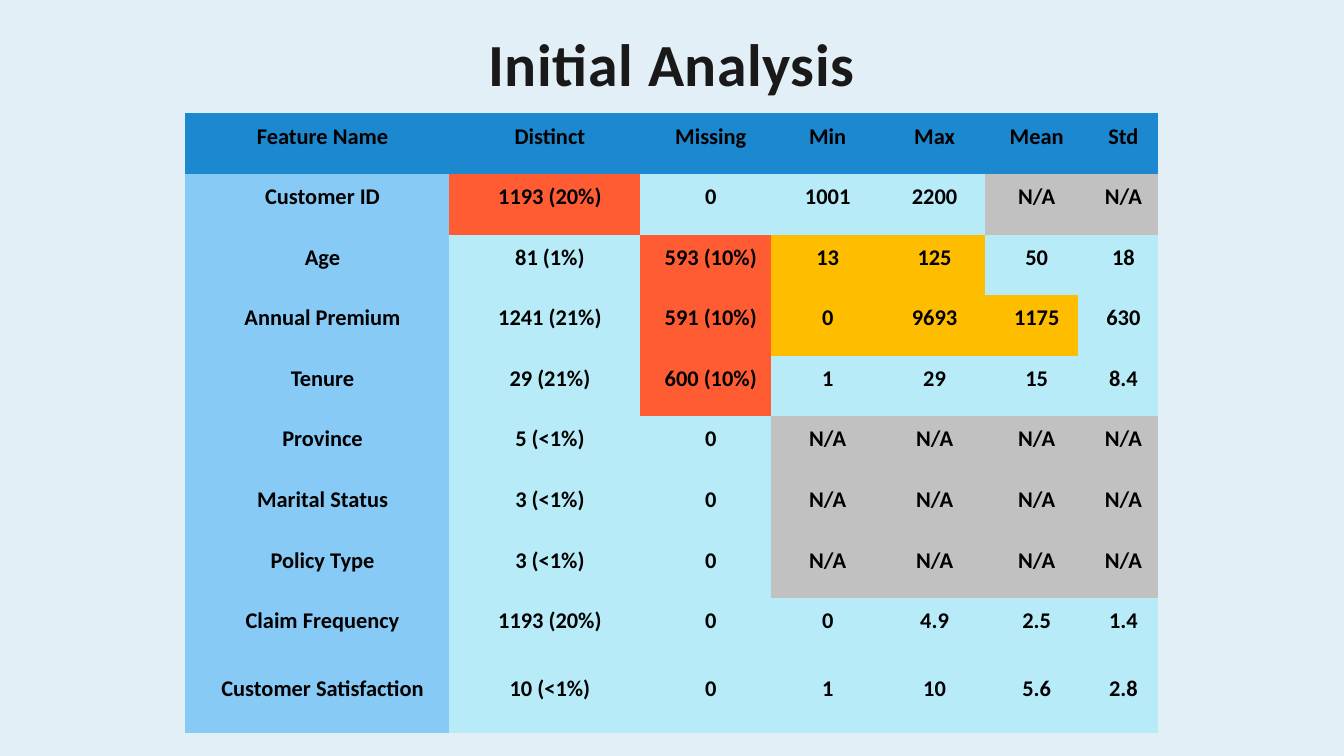
from pptx import Presentation as Deck
from pptx.dml.color import RGBColor as RGB
from pptx.enum.text import MSO_ANCHOR as Anchor, MSO_AUTO_SIZE as Fit, PP_ALIGN as Align
from pptx.oxml.ns import qn
from pptx.util import Cm, Pt

COLORS = {
    "back": "E3EFF7", "title": "191919", "text": "000000",
    "head": "1C88CF", "name": "87CAF5", "plain": "B8EBF8",
    "alert": "FF5C33", "warn": "FFBD00", "none": "C1C1C1",
}
NO_GRID = "{2D5ABB26-0587-4C30-8999-92F81FD0307C}"
WIDTHS = [9.98, 7.21, 4.95, 3.89, 4.19, 3.53, 3.02]
HEIGHTS = [2.29] * 9 + [2.82]
ROWS = [
    ["Feature Name", "Distinct", "Missing", "Min", "Max", "Mean", "Std"],
    ["Customer ID", "1193 (20%)", "0", "1001", "2200", "N/A", "N/A"],
    ["Age", "81 (1%)", "593 (10%)", "13", "125", "50", "18"],
    ["Annual Premium", "1241 (21%)", "591 (10%)", "0", "9693", "1175", "630"],
    ["Tenure", "29 (21%)", "600 (10%)", "1", "29", "15", "8.4"],
    ["Province", "5 (<1%)", "0", "N/A", "N/A", "N/A", "N/A"],
    ["Marital Status", "3 (<1%)", "0", "N/A", "N/A", "N/A", "N/A"],
    ["Policy Type", "3 (<1%)", "0", "N/A", "N/A", "N/A", "N/A"],
    ["Claim Frequency", "1193 (20%)", "0", "0", "4.9", "2.5", "1.4"],
    ["Customer Satisfaction", "10 (<1%)", "0", "1", "10", "5.6", "2.8"],
]
ALERTS = {(1, 1), (2, 2), (3, 2), (4, 2)}
WARNS = {(2, 3), (2, 4), (3, 3), (3, 4), (3, 5)}


def write(frame, text, size=24, color="text", lead=13.7, track=0):
    para = frame.paragraphs[0]
    para.alignment = Align.CENTER
    para.line_spacing = Pt(lead)
    run = para.add_run()
    run.text = text
    font = run.font
    font.name, font.size, font.bold = "Calibri", Pt(size), True
    font.color.rgb = RGB.from_string(COLORS[color])
    if track:
        run._r.get_or_add_rPr().set("spc", str(track))


def shade(row, col):
    if row == 0:
        return "head"
    if col == 0:
        return "name"
    if ROWS[row][col] == "N/A":
        return "none"
    if (row, col) in ALERTS:
        return "alert"
    return "warn" if (row, col) in WARNS else "plain"


class Page:
    def __init__(self, slide):
        self.slide = slide
        self.paint(slide.background.fill, "back")

    def paint(self, fill, color):
        fill.solid()
        fill.fore_color.rgb = RGB.from_string(COLORS[color])

    def title(self, text, left, top, width, height):
        box = self.slide.shapes.add_textbox(Cm(left), Cm(top), Cm(width), Cm(height))
        frame = box.text_frame
        frame.word_wrap = True
        frame.auto_size = Fit.SHAPE_TO_FIT_TEXT
        frame.margin_left = frame.margin_right = 0
        frame.margin_top = frame.margin_bottom = 0
        write(frame, text, size=64, color="title", lead=89.6, track=60)

    def table(self, left, top):
        shape = self.slide.shapes.add_table(
            len(ROWS), len(WIDTHS), Cm(left), Cm(top), Cm(sum(WIDTHS)), Cm(sum(HEIGHTS)))
        shape.element.find(".//" + qn("a:tableStyleId")).text = NO_GRID
        grid = shape.table
        for col, width in zip(grid.columns, WIDTHS):
            col.width = Cm(width)
        for row, height in zip(grid.rows, HEIGHTS):
            row.height = Cm(height)
        for r, texts in enumerate(ROWS):
            for c, text in enumerate(texts):
                self.cell(grid.cell(r, c), text, shade(r, c))

    def cell(self, cell, text, color):
        cell.margin_left = Cm(0.38)
        cell.margin_right = cell.margin_top = cell.margin_bottom = 0
        cell.vertical_anchor = Anchor.MIDDLE
        self.paint(cell.fill, color)
        write(cell.text_frame, text)


def main():
    deck = Deck()
    deck.slide_width, deck.slide_height = Cm(50.8), Cm(28.58)
    page = Page(deck.slides.add_slide(deck.slide_layouts[6]))
    page.table(7.01, 4.29)
    page.title("Initial Analysis", 17.53, 0.56, 15.72, 3.05)
    deck.save("out.pptx")


if __name__ == "__main__":
    main()
